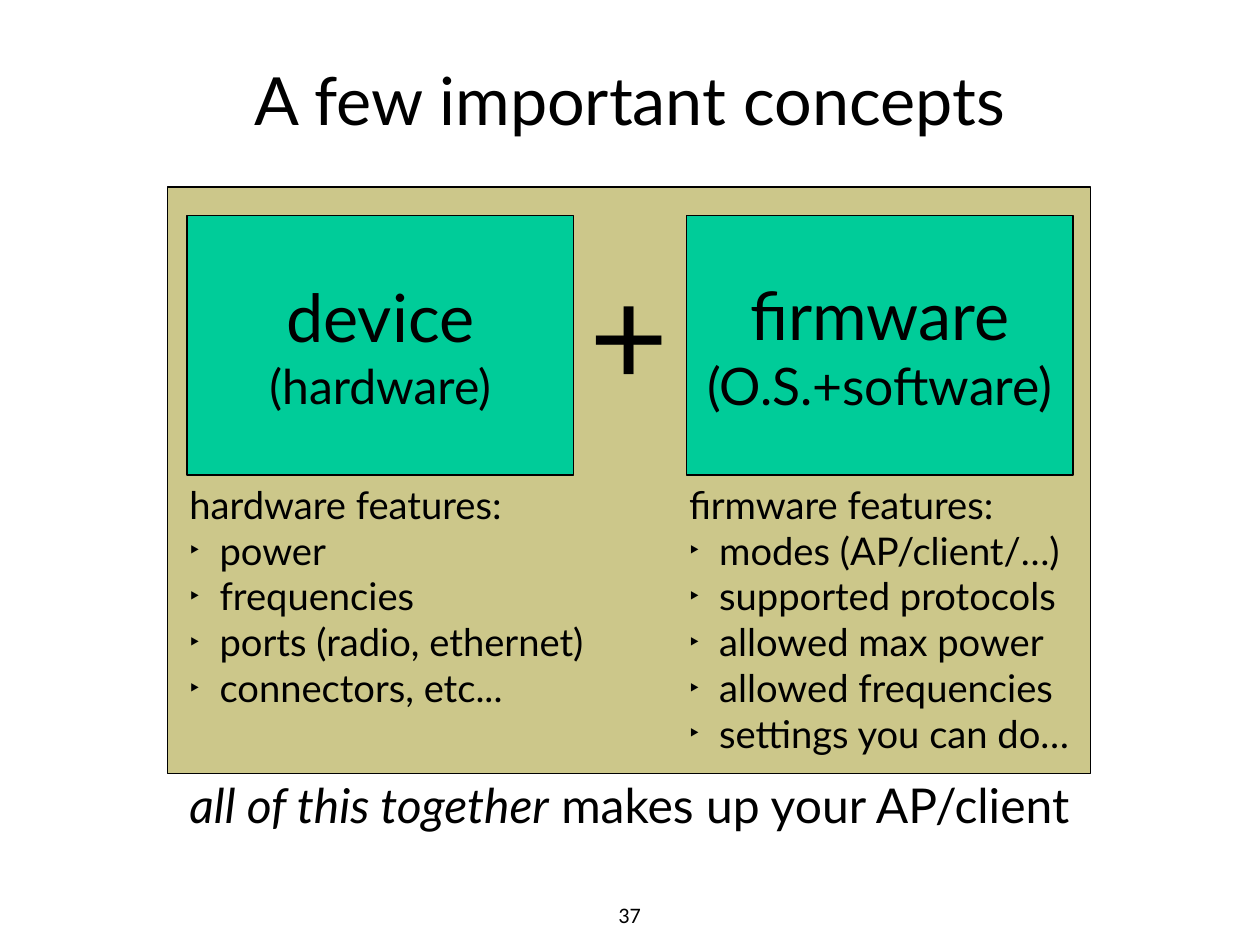
from dataclasses import dataclass

from lxml.etree import SubElement
from pptx import Presentation
from pptx.dml.color import RGBColor
from pptx.enum.shapes import MSO_SHAPE as Preset
from pptx.enum.text import MSO_ANCHOR as Anchor, MSO_AUTO_SIZE as AutoSize, PP_ALIGN as Align
from pptx.oxml.ns import qn
from pptx.util import Pt

COLORS = {"text": "000000", "line": "000000", "frame": "CCC78A", "card": "00CC99"}
FONT = "Lato"
HEADING_SIZE, CAPTION_SIZE, FEATURE_SIZE = 54, 39, 31
BULLET_INDENT = 24.5
CARD_TOP, CARD_WIDTH, CARD_HEIGHT = 175, 314, 211
FEATURES_TOP, FEATURES_OFFSET = 391, 2


@dataclass(frozen=True)
class Area:
    left: float
    top: float
    width: float
    height: float

    def lengths(self) -> tuple:
        return Pt(self.left), Pt(self.top), Pt(self.width), Pt(self.height)


@dataclass(frozen=True)
class Part:
    """One half of the concept: a card with its feature list below."""
    left: float
    name: str
    detail: str
    detail_size: float
    heading: str
    features: tuple[str, ...]
    features_width: float
    features_height: float


PARTS = (
    Part(152, "device", "(hardware)", 39, "hardware features:",
         ("power", "frequencies", "ports (radio, ethernet)", "connectors, etc..."),
         352, 213),
    Part(558, "firmware", "(O.S.+software)", 42, "firmware features:",
         ("modes (AP/client/…)", "supported protocols", "allowed max power",
          "allowed frequencies", "settings you can do…"),
         321, 232),
)


def color(name: str) -> RGBColor:
    return RGBColor.from_string(COLORS[name])


def set_frame(frame, anchor=Anchor.TOP, inset: float = 0, wrap: bool = True) -> None:
    frame.auto_size = AutoSize.NONE
    frame.word_wrap = wrap
    frame.vertical_anchor = anchor
    frame.margin_left = frame.margin_right = Pt(inset)
    frame.margin_top = frame.margin_bottom = Pt(inset)


def add_span(para, text: str, size: float, italic: bool = False, font: str = FONT) -> None:
    span = para.add_run()
    span.text = text
    span.font.name = font
    span.font.size = Pt(size)
    span.font.italic = italic
    span.font.color.rgb = color("text")


def add_text(slide, area: Area, **frame_options):
    """Add an empty text box and return its text frame."""
    frame = slide.shapes.add_textbox(*area.lengths()).text_frame
    set_frame(frame, **frame_options)
    return frame


def first_para(frame, align=Align.CENTER):
    para = frame.paragraphs[0]
    para.alignment = align
    return para


def add_panel(slide, area: Area, fill: str):
    panel = slide.shapes.add_shape(Preset.RECTANGLE, *area.lengths())
    panel.shadow.inherit = False
    panel.fill.solid()
    panel.fill.fore_color.rgb = color(fill)
    panel.line.color.rgb = color("line")
    panel.line.width = Pt(1)
    return panel


def set_bullet(para) -> None:
    props = para._p.get_or_add_pPr()
    props.set("marL", str(Pt(BULLET_INDENT)))
    props.set("indent", str(-Pt(BULLET_INDENT)))
    SubElement(props, qn("a:buSzPct"), val="75000")
    SubElement(props, qn("a:buFont"), typeface=FONT)
    SubElement(props, qn("a:buChar"), char="‣")


def add_card(slide, part: Part) -> None:
    area = Area(part.left, CARD_TOP, CARD_WIDTH, CARD_HEIGHT)
    frame = add_panel(slide, area, "card").text_frame
    set_frame(frame, anchor=Anchor.MIDDLE)
    add_span(first_para(frame), part.name, HEADING_SIZE)
    detail = frame.add_paragraph()
    detail.alignment = Align.CENTER
    add_span(detail, part.detail, part.detail_size)


def add_features(slide, part: Part) -> None:
    frame = add_text(slide, Area(part.left + FEATURES_OFFSET, FEATURES_TOP,
                                 part.features_width, part.features_height))
    add_span(first_para(frame, Align.LEFT), part.heading, FEATURE_SIZE)
    for feature in part.features:
        para = frame.add_paragraph()
        set_bullet(para)
        add_span(para, feature, FEATURE_SIZE)


def set_title(slide, text: str) -> None:
    title = slide.shapes.title
    title.left, title.top, title.width, title.height = Area(100, 0, 824, 116.5).lengths()
    set_frame(title.text_frame, anchor=Anchor.BOTTOM, inset=4)
    add_span(first_para(title.text_frame), text, HEADING_SIZE)


def main() -> None:
    deck = Presentation()
    deck.slide_width, deck.slide_height = Pt(1024), Pt(768)
    slide = deck.slides.add_slide(deck.slide_layouts[5])

    set_title(slide, "A few important concepts")
    add_panel(slide, Area(136, 152, 750, 476.5), "frame")
    for part in PARTS:
        add_card(slide, part)
    plus = add_text(slide, Area(478, 203, 67, 155.5))
    add_span(first_para(plus), "+", 111)
    for part in PARTS:
        add_features(slide, part)

    caption = first_para(add_text(slide, Area(114.5, 630.5, 794, 61)))
    add_span(caption, "all of this together", CAPTION_SIZE, italic=True)
    add_span(caption, " makes up your AP/client", CAPTION_SIZE)

    number = add_text(slide, Area(498, 728.5, 27.5, 29), inset=4, wrap=False)
    add_span(first_para(number), "37", 18, font="Calibri")

    deck.save("out.pptx")


if __name__ == "__main__":
    main()
